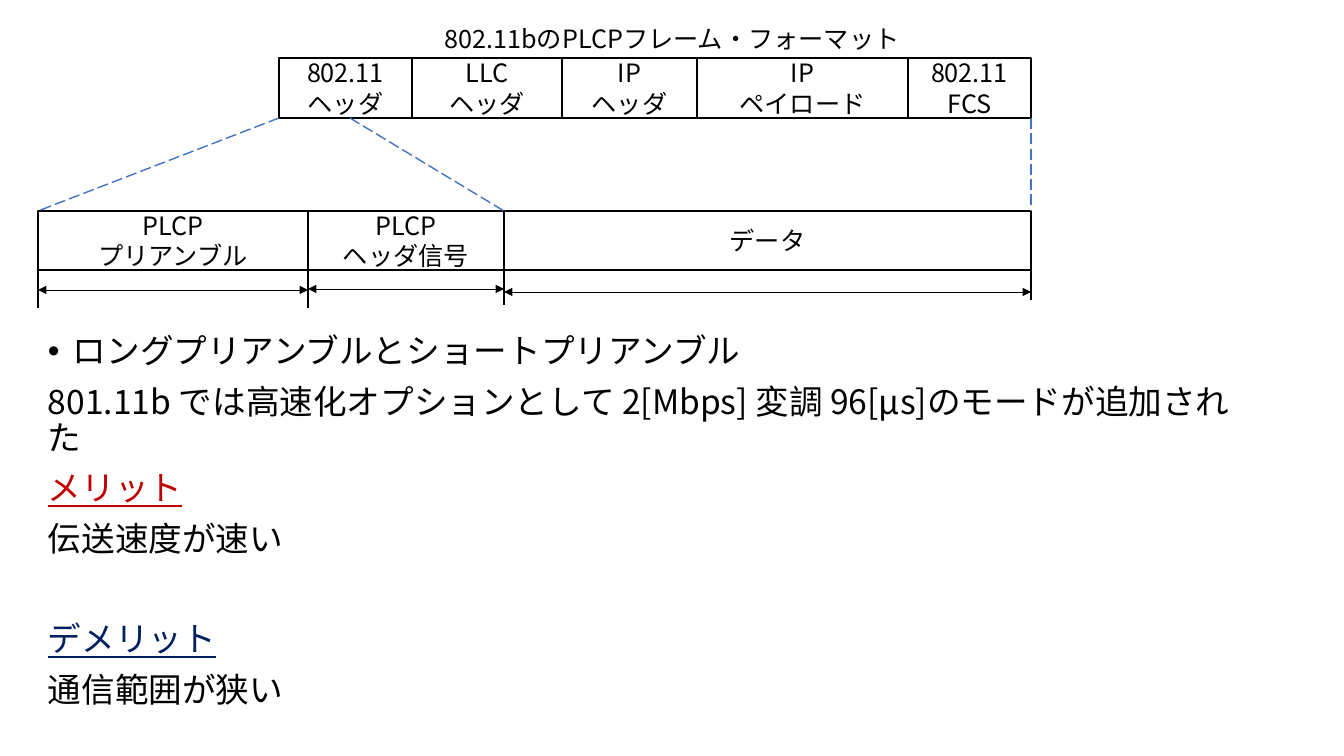
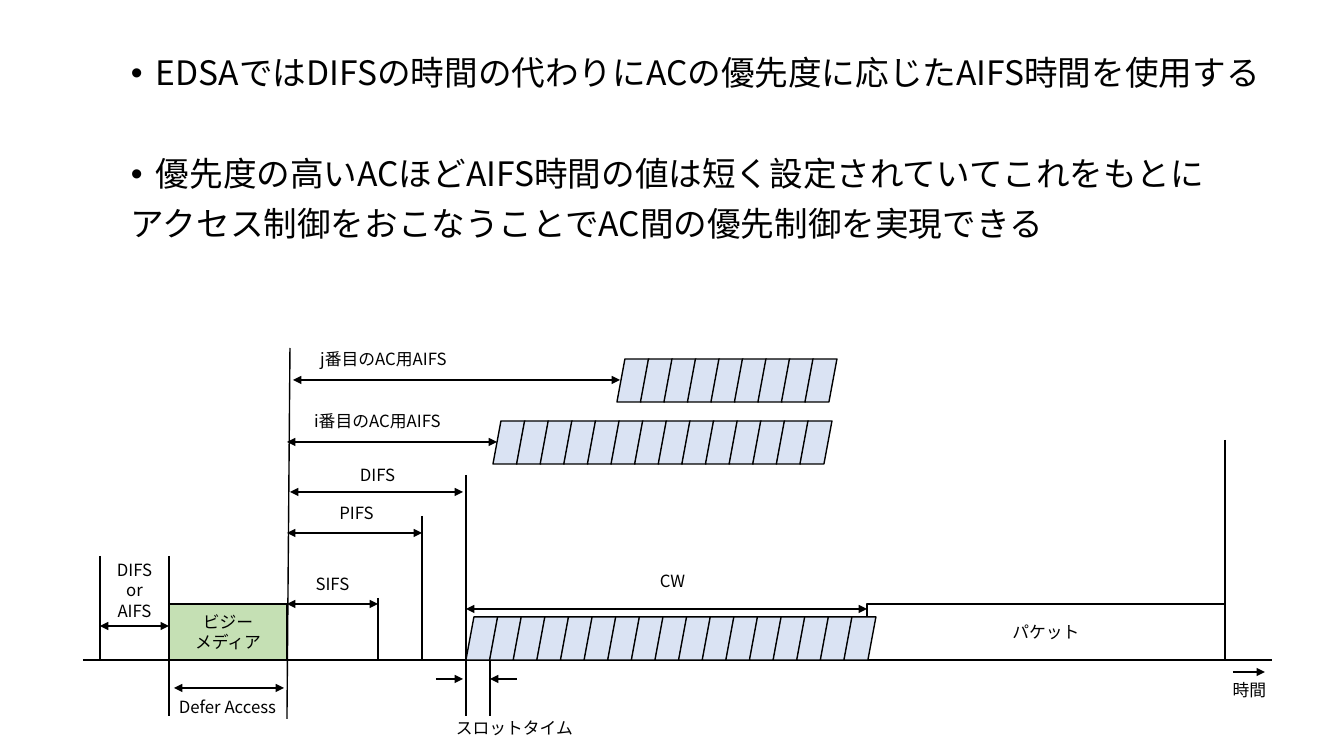
from itertools import pairwise

from lxml import etree
from pptx import Presentation
from pptx.dml.color import RGBColor
from pptx.enum.dml import MSO_LINE
from pptx.enum.shapes import MSO_CONNECTOR, MSO_SHAPE
from pptx.enum.text import MSO_ANCHOR, PP_ALIGN
from pptx.oxml.ns import qn
from pptx.util import Pt

EMU_PER_PX = 914400 / 100.8
SLIDE_W, SLIDE_H = 1344, 756
FONT = "Noto Sans CJK JP"
BLACK, WHITE, BLUE = "000000", "FFFFFF", "4472C4"
MERIT_RED, DEMERIT_NAVY = "C00000", "002060"
BUSY_GREEN, SLOT_BLUE = "C5E0B4", "DAE3F3"
RECT, PARALLELOGRAM = MSO_SHAPE.RECTANGLE, MSO_SHAPE.PARALLELOGRAM
STRAIGHT, LONG_DASH = MSO_CONNECTOR.STRAIGHT, MSO_LINE.LONG_DASH
LEFT, CENTER = PP_ALIGN.LEFT, PP_ALIGN.CENTER
MIDDLE = MSO_ANCHOR.MIDDLE
BODY_SIZE, FRAME_SIZE, LABEL_SIZE = 24, 18, 12
BODY_GAP, SECTION_GAP = 10, 46
BULLET_INDENT = 25


def px(length):
    """Turn pixels into EMU."""
    return round(length * EMU_PER_PX)


def color(value):
    """Turn a hex string into a colour."""
    return RGBColor.from_string(value)


def write(paragraph, text, size=LABEL_SIZE, ink=BLACK, underline=False,
          align=CENTER, spacing=None, before=None, bullet=False):
    """Put formatted text into a paragraph."""
    paragraph.alignment = align
    if spacing:
        paragraph.line_spacing = spacing
    if before is not None:
        paragraph.space_before = Pt(before)
    run = paragraph.add_run()
    run.text = text
    run.font.name = FONT
    run.font.size = Pt(size)
    run.font.color.rgb = color(ink)
    if underline:
        run.font.underline = True
    latin = run.font._element.find(qn("a:latin"))
    east_asian = etree.Element(qn("a:ea"), typeface=FONT)
    latin.addnext(east_asian)
    if bullet:
        properties = paragraph._p.get_or_add_pPr()
        properties.set("marL", str(px(BULLET_INDENT)))
        properties.set("indent", str(-px(BULLET_INDENT)))
        etree.SubElement(properties, qn("a:buFont"), typeface="Arial")
        etree.SubElement(properties, qn("a:buChar"), char="•")


def write_lines(frame, text, **style):
    """Write each line of the text as its own paragraph."""
    for i, line in enumerate(text.split("\n")):
        paragraph = frame.add_paragraph() if i else frame.paragraphs[0]
        write(paragraph, line, **style)


def add_text_frame(slide, left, top, width, height):
    """Add a wrapping text box and return its frame."""
    box = slide.shapes.add_textbox(px(left), px(top), px(width), px(height))
    box.text_frame.word_wrap = True
    return box.text_frame


def add_label(slide, text, left, top, width, height=30, size=LABEL_SIZE):
    """Add a centred label."""
    write_lines(add_text_frame(slide, left, top, width, height), text, size=size)


def add_body(slide, left, top, width, height, paragraphs):
    """Add the body text from pairs of text and format."""
    frame = add_text_frame(slide, left, top, width, height)
    for i, (text, style) in enumerate(paragraphs):
        paragraph = frame.add_paragraph() if i else frame.paragraphs[0]
        write(paragraph, text, **{"size": BODY_SIZE, "align": LEFT, "spacing": 0.9,
                                  "before": BODY_GAP, **style})


def add_block(slide, left, top, width, height, text="", fill=WHITE,
              size=LABEL_SIZE, kind=RECT):
    """Add an outlined block with optional centred text."""
    block = slide.shapes.add_shape(kind, px(left), px(top), px(width), px(height))
    block.shadow.inherit = False
    block.fill.solid()
    block.fill.fore_color.rgb = color(fill)
    block.line.color.rgb = color(BLACK)
    block.line.width = Pt(1)
    if text:
        frame = block.text_frame
        frame.margin_top = frame.margin_bottom = 0
        frame.vertical_anchor = MIDDLE
        write_lines(frame, text, size=size)


def add_line(slide, x1, y1, x2, y2, ink=BLACK, width=1, dash=None, arrows=()):
    """Add a line with arrowheads at the named ends."""
    line = slide.shapes.add_connector(STRAIGHT, px(x1), px(y1), px(x2), px(y2))
    line.line.color.rgb = color(ink)
    line.line.width = Pt(width)
    if dash:
        line.line.dash_style = dash
    properties = line._element.spPr
    outline = properties.find(qn("a:ln"))
    for end in arrows:
        etree.SubElement(outline, qn(f"a:{end}"), type="triangle")
    etree.SubElement(properties, qn("a:effectLst"))


def add_span(slide, x1, x2, y, width=1):
    """Add a horizontal arrow that points both ways."""
    add_line(slide, x1, y, x2, y, width=width, arrows=("headEnd", "tailEnd"))


def add_pointer(slide, x1, x2, y):
    """Add a horizontal arrow that points to x2."""
    add_line(slide, x1, y, x2, y, arrows=("tailEnd",))


def add_fields(slide, edges, top, height, names):
    """Add a row of frame fields between consecutive edges."""
    for (left, right), name in zip(pairwise(edges), names):
        add_block(slide, left, top, right - left, height, name, size=FRAME_SIZE)


def add_slots(slide, first, last, count, top):
    """Add evenly spaced slots whose left edges run from first to last."""
    for i in range(count):
        left = first + (last - first) * i / (count - 1)
        add_block(slide, left, top, 32, 43, fill=SLOT_BLUE, kind=PARALLELOGRAM)


def build_plcp_slide(slide):
    """Show the PLCP frame format and the preamble notes."""
    add_label(slide, "802.11bのPLCPフレーム・フォーマット", 380, 18, 584, 40, FRAME_SIZE)
    add_fields(slide, (279, 412, 562, 697, 908, 1031), 58, 60,
               ("802.11\nヘッダ", "LLC\nヘッダ", "IP\nヘッダ", "IP\nペイロード",
                "802.11\nFCS"))
    plcp_edges = (38, 308, 504, 1031)
    add_fields(slide, plcp_edges, 211, 59,
               ("PLCP\nプリアンブル", "PLCP\nヘッダ信号", "データ"))
    for frame_x, plcp_x in ((279, 38), (350, 504), (1031, 1031)):
        add_line(slide, frame_x, 118, plcp_x, 211, ink=BLUE, dash=LONG_DASH)
    for x, bottom in zip(plcp_edges, (308, 308, 305, 300)):
        add_line(slide, x, 270, x, bottom)
    for (left, right), y in zip(pairwise(plcp_edges), (290, 289, 292)):
        add_span(slide, left, right, y, width=0.5)
    add_body(slide, 38, 330, 1231, 408, (
        ("ロングプリアンブルとショートプリアンブル", {"bullet": True}),
        ("801.11b では高速化オプションとして 2[Mbps] 変調 96[μs]のモードが追加された", {}),
        ("メリット", {"ink": MERIT_RED, "underline": True}),
        ("伝送速度が速い", {}),
        ("デメリット", {"ink": DEMERIT_NAVY, "underline": True,
                   "before": SECTION_GAP}),
        ("通信範囲が狭い", {}),
    ))


def build_edca_slide(slide):
    """Show how AIFS times order the access of each category."""
    add_body(slide, 121, 52, 1223, 220, (
        ("EDSAではDIFSの時間の代わりにACの優先度に応じたAIFS時間を使用する",
         {"bullet": True}),
        ("優先度の高いACほどAIFS時間の値は短く設定されていてこれをもとに",
         {"bullet": True, "before": SECTION_GAP}),
        ("アクセス制御をおこなうことでAC間の優先制御を実現できる", {}),
    ))
    axis = 660
    add_line(slide, 83, axis, 1272, axis)
    add_block(slide, 867, 604, 358, 56, "パケット")
    add_block(slide, 169, 604, 118, 56, "ビジー\nメディア", fill=BUSY_GREEN)
    add_line(slide, 290, 348, 287, 719)
    for x, top, bottom in ((100, 556, axis), (169, 556, 716), (378, 598, axis),
                           (422, 516, axis), (466, 475, 716), (490, axis, 716),
                           (1225, 440, axis)):
        add_line(slide, x, top, x, bottom)
    for x1, x2, y in ((100, 169, 626), (287, 378, 604), (287, 422, 533),
                      (290, 463, 492), (287, 497, 442), (293, 620, 380),
                      (466, 867, 609), (174, 284, 688)):
        add_span(slide, x1, x2, y)
    for x1, x2, y in ((1233, 1265, 672), (517, 490, 679), (436, 463, 679)):
        add_pointer(slide, x1, x2, y)
    for first, last, count, top in ((617, 805, 9, 359), (493, 800, 14, 421),
                                    (466, 844, 17, 617)):
        add_slots(slide, first, last, count, top)
    add_label(slide, "DIFS\nor\nAIFS", 95, 555, 79, 72)
    for text, left, top, width in (
            ("j番目のAC用AIFS", 290, 344, 187), ("i番目のAC用AIFS", 284, 406, 187),
            ("DIFS", 338, 460, 79), ("PIFS", 317, 498, 79), ("SIFS", 293, 569, 79),
            ("CW", 638, 566, 69), ("Defer Access", 153, 692, 149),
            ("スロットタイム", 443, 713, 143), ("時間", 1220, 675, 59)):
        add_label(slide, text, left, top, width)


def main():
    """Build and save the presentation."""
    deck = Presentation()
    deck.slide_width, deck.slide_height = px(SLIDE_W), px(SLIDE_H)
    blank = deck.slide_layouts[6]
    for build in (build_plcp_slide, build_edca_slide):
        build(deck.slides.add_slide(blank))
    deck.save("out.pptx")


main()
